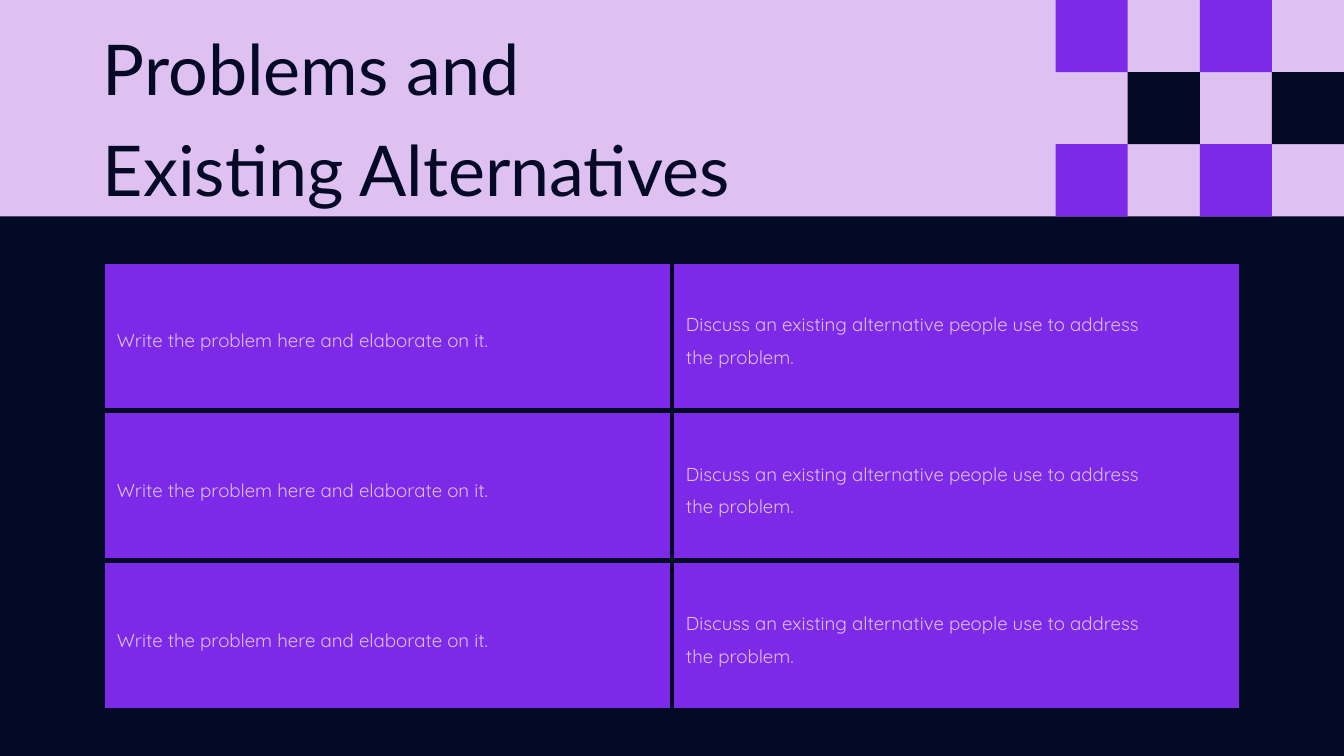
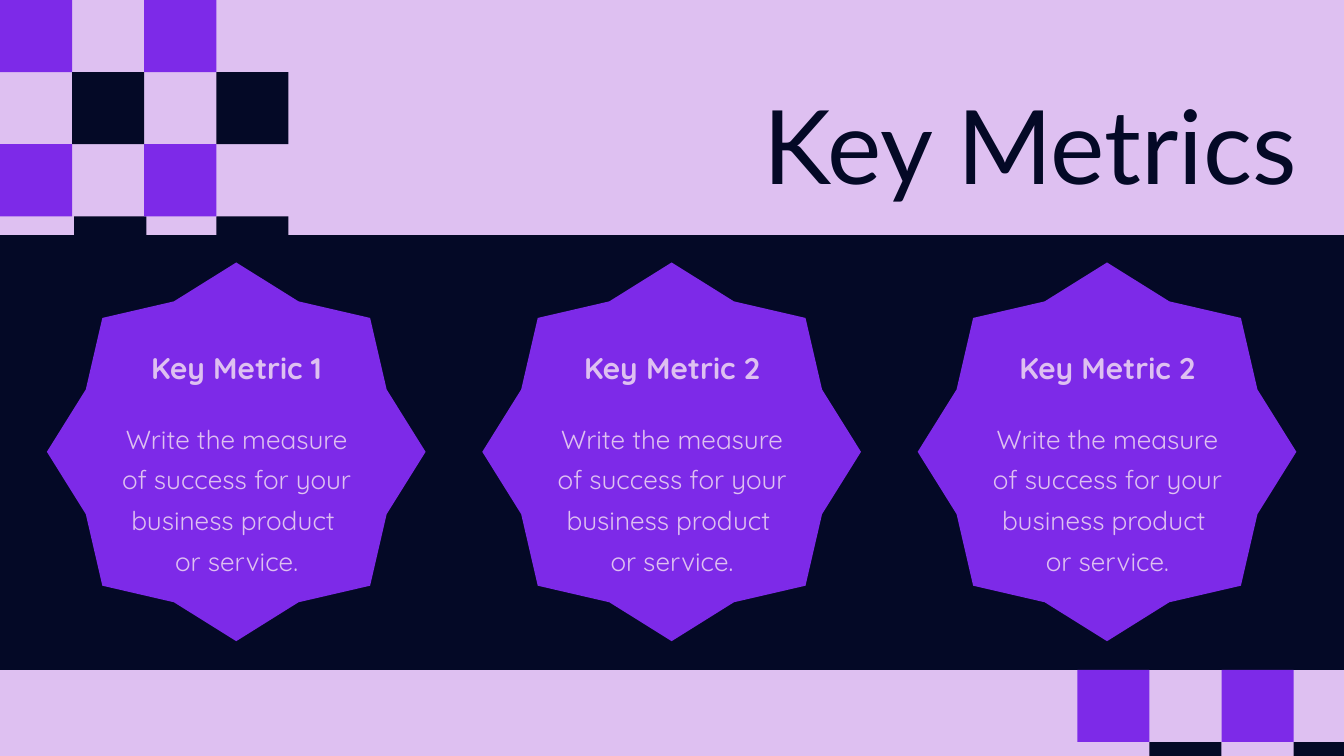
from lxml import etree
from pptx import Presentation
from pptx.dml.color import RGBColor
from pptx.enum.shapes import MSO_SHAPE
from pptx.enum.text import MSO_ANCHOR, MSO_AUTO_SIZE, PP_ALIGN
from pptx.oxml.ns import qn
from pptx.util import Pt

RECT, STAR = MSO_SHAPE.RECTANGLE, MSO_SHAPE.STAR_8_POINT
TOP, MIDDLE = MSO_ANCHOR.TOP, MSO_ANCHOR.MIDDLE
GROW = MSO_AUTO_SIZE.SHAPE_TO_FIT_TEXT
LEFT, CENTER, RIGHT = PP_ALIGN.LEFT, PP_ALIGN.CENTER, PP_ALIGN.RIGHT

# Shared look
SCALE = 9525  # EMU in one px
WIDE, HIGH = 1920, 1080
LILAC, NAVY, VIOLET = "DEC0F1", "040926", "7D2AE8"
HEAD, BODY = "Lato", "Quicksand"
TILE = 103

# Wording
PROBLEM = "Write the problem here and elaborate on it."
OTHER = "Discuss an existing alternative people use to address\nthe problem."
MEASURE = "Write the measure of success for your business product \nor service."
METRICS = ["Key Metric 1", "Key Metric 2", "Key Metric 2"]


def px(n):
    return n * SCALE


def rgb(code):
    return RGBColor.from_string(code)


def paint(obj, code):
    obj.fill.solid()
    obj.fill.fore_color.rgb = rgb(code)


def add_slide(deck):
    slide = deck.slides.add_slide(deck.slide_layouts[5])
    paint(slide.background, LILAC)
    return slide


def add_form(slide, kind, x, y, w, h, color):
    form = slide.shapes.add_shape(kind, px(x), px(y), px(w), px(h))
    paint(form, color)
    form.line.fill.background()
    form.shadow.inherit = False
    return form


def add_band(slide, y, h):
    add_form(slide, RECT, 0, y, WIDE, h, NAVY)


def add_tile(slide, x, y, color):
    add_form(slide, RECT, x, y, TILE, TILE, color)


def add_check(slide, x, y, rows):
    """Checkerboard four tiles wide, with every second tile left open."""
    for row in range(rows):
        for col in range(row % 2, 4, 2):
            color = NAVY if row % 2 else VIOLET
            add_tile(slide, x + col * TILE, y + row * TILE, color)


def write(frame, text, font, size, color, align, gap, bold=False):
    frame.text = text
    frame.word_wrap = True
    for para in frame.paragraphs:
        para.alignment = align
        para.line_spacing = gap
        for run in para.runs:
            run.font.name = font
            run.font.size = Pt(size)
            run.font.bold = bold
            run.font.color.rgb = rgb(color)


def fit(frame):
    frame.margin_left = frame.margin_right = 0
    frame.margin_top = frame.margin_bottom = 0
    frame.vertical_anchor = TOP
    frame.auto_size = GROW


def set_title(slide, text, x, y, w, h, size, align):
    title = slide.shapes.title
    title.left, title.top, title.width, title.height = map(px, (x, y, w, h))
    write(title.text_frame, text, HEAD, size, NAVY, align, 1.2)
    fit(title.text_frame)
    return title


def add_text(slide, text, x, y, w, h, size, bold=False):
    box = slide.shapes.add_textbox(px(x), px(y), px(w), px(h))
    write(box.text_frame, text, BODY, size, LILAC, CENTER, 1.3, bold)
    fit(box.text_frame)


def add_edges(cell, color, width):
    props = cell._tc.get_or_add_tcPr()
    for side in ("a:lnL", "a:lnR", "a:lnT", "a:lnB"):
        line = etree.SubElement(props, qn(side), w=str(Pt(width)))
        fill = etree.SubElement(line, qn("a:solidFill"))
        etree.SubElement(fill, qn("a:srgbClr"), val=color)


def add_grid(slide, rows, x, y, col_w, row_h):
    cols = len(rows[0])
    table = slide.shapes.add_table(
        len(rows), cols, px(x), px(y), px(col_w * cols), px(row_h * len(rows))
    ).table
    table.first_row = table.horz_banding = False
    for col in table.columns:
        col.width = px(col_w)
    for row, texts in zip(table.rows, rows):
        row.height = px(row_h)
        for cell, text in zip(row.cells, texts):
            add_edges(cell, NAVY, 6)
            paint(cell, VIOLET)
            cell.margin_left = cell.margin_right = px(20)
            cell.margin_top = cell.margin_bottom = px(20)
            cell.vertical_anchor = MIDDLE
            write(cell.text_frame, text, BODY, 20, LILAC, LEFT, 1.4)


def add_badge(slide, x, name):
    star = add_form(slide, STAR, x, 375, 541, 541, VIOLET)
    star.adjustments[0] = 0.43
    add_text(slide, MEASURE, x + 90, 591, 362, 191, 28)
    add_text(slide, name, x + 108, 484, 326, 54, 32, True)


def show_problems(deck):
    slide = add_slide(deck)
    add_band(slide, 3 * TILE, HIGH - 3 * TILE)
    add_grid(slide, [(PROBLEM, OTHER)] * 3, 147, 373, 813, 214)
    title = set_title(slide, "Problems and\nExisting Alternatives",
                      147, 36, 1321, 242, 75, LEFT)
    title.text_frame.paragraphs[0].line_spacing = 1.0
    add_check(slide, WIDE - 4 * TILE, 0, 3)


def show_metrics(deck):
    slide = add_slide(deck)
    # The band cuts off the lowest row of tiles
    for x in (106, 3 * TILE):
        add_tile(slide, x, 3 * TILE, NAVY)
    add_band(slide, 336, 621)
    add_check(slide, 0, 0, 3)
    add_check(slide, 1539, 957, 2)
    set_title(slide, "Key Metrics", 843, 81, 1010, 177, 110, RIGHT)
    for i, name in enumerate(METRICS):
        add_badge(slide, 67 + 622 * i, name)


def main():
    deck = Presentation()
    deck.slide_width, deck.slide_height = px(WIDE), px(HIGH)
    show_problems(deck)
    show_metrics(deck)
    deck.save("out.pptx")


if __name__ == "__main__":
    main()
